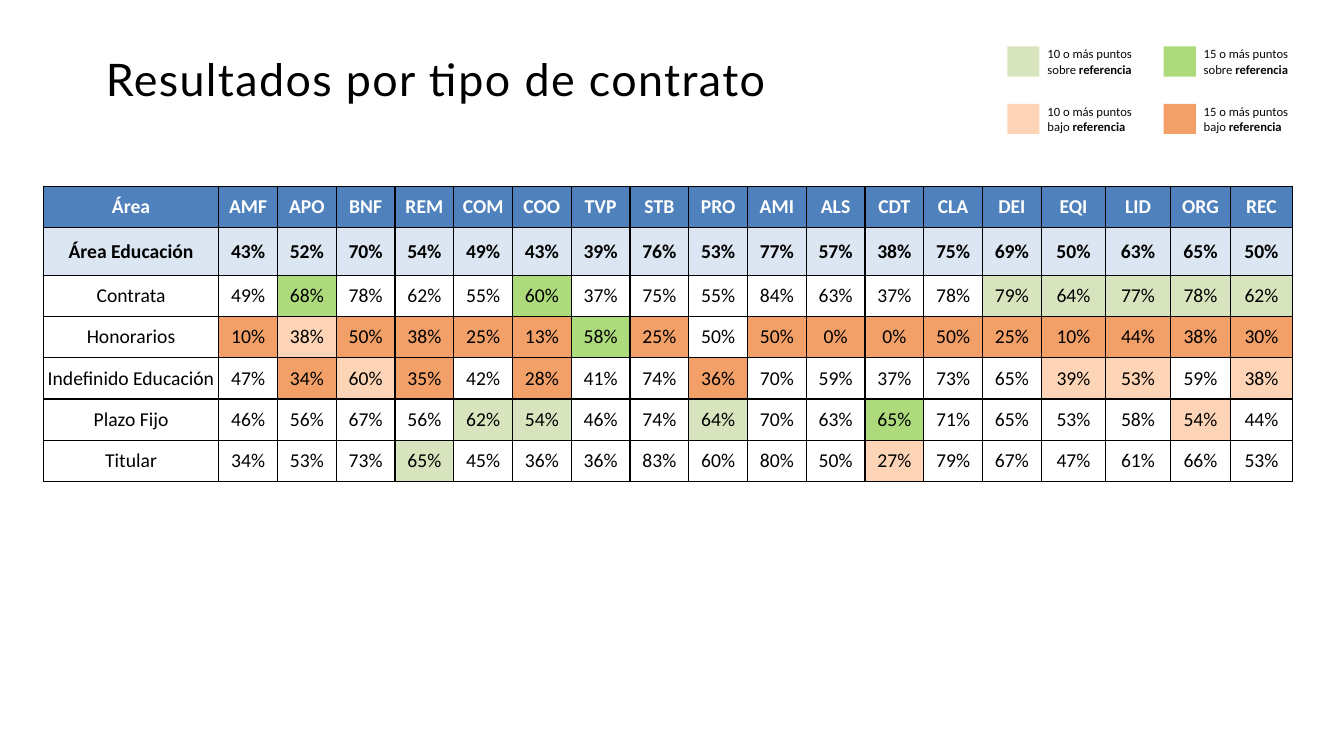
from lxml import etree
from pptx import Presentation
from pptx.dml.color import RGBColor
from pptx.enum.shapes import MSO_SHAPE
from pptx.enum.text import MSO_ANCHOR, PP_ALIGN
from pptx.oxml.ns import qn
from pptx.util import Inches, Pt

RECTANGLE = MSO_SHAPE.RECTANGLE
MIDDLE = MSO_ANCHOR.MIDDLE
CENTER = PP_ALIGN.CENTER

TITLE = "Resultados por tipo de contrato"
HEADINGS = ["Área", "AMF", "APO", "BNF", "REM", "COM", "COO", "TVP", "STB", "PRO",
            "AMI", "ALS", "CDT", "CLA", "DEI", "EQI", "LID", "ORG", "REC"]
REFERENCE = ("Área Educación", [43, 52, 70, 54, 49, 43, 39, 76, 53, 77, 57, 38, 75, 69, 50, 63, 65, 50])
CONTRACTS = [
    ("Contrata", [49, 68, 78, 62, 55, 60, 37, 75, 55, 84, 63, 37, 78, 79, 64, 77, 78, 62]),
    ("Honorarios", [10, 38, 50, 38, 25, 13, 58, 25, 50, 50, 0, 0, 50, 25, 10, 44, 38, 30]),
    ("Indefinido Educación", [47, 34, 60, 35, 42, 28, 41, 74, 36, 70, 59, 37, 73, 65, 39, 53, 59, 38]),
    ("Plazo Fijo", [46, 56, 67, 56, 62, 54, 46, 74, 64, 70, 63, 65, 71, 65, 53, 58, 54, 44]),
    ("Titular", [34, 53, 73, 65, 45, 36, 36, 83, 60, 80, 50, 27, 79, 67, 47, 61, 66, 53]),
]
BANDS = {("sobre", 10): "D7E4BD", ("sobre", 15): "ADDB7B",
         ("bajo", 10): "FDD4B5", ("bajo", 15): "F2A068"}
HEADING_FILL, REFERENCE_FILL = "4F81BD", "DCE6F2"
WHITE, BLACK, LEGEND_INK = "FFFFFF", "000000", "07080B"

TABLE_LEFT, TABLE_TOP, TABLE_WIDTH = 0.43, 1.85, 12.39
AREA_WIDTH = 1.74
LAST_WIDTHS = [0.64, 0.64, 0.6, 0.61]
ROW_HEIGHT, REFERENCE_HEIGHT = 0.41, 0.47
LEGEND_COLUMNS = {10: 9.99, 15: 11.54}
LEGEND_ROWS = {"sobre": 0.46, "bajo": 1.03}


def color(value):
    return RGBColor.from_string(value)


def style(run, font, size, ink, bold=False):
    run.font.name = font
    run.font.size = Pt(size)
    run.font.bold = bold
    run.font.color.rgb = color(ink)


def band_fill(value, reference):
    gap = value - reference
    if abs(gap) < 10:
        return None
    return BANDS["sobre" if gap > 0 else "bajo", 15 if abs(gap) >= 15 else 10]


def add_borders(cell):
    properties = cell._tc.get_or_add_tcPr()
    for position, side in enumerate(("lnL", "lnR", "lnT", "lnB")):
        line = etree.Element(qn("a:" + side), w=str(Pt(1)))
        ink = etree.SubElement(etree.SubElement(line, qn("a:solidFill")), qn("a:srgbClr"))
        ink.set("val", BLACK)
        properties.insert(position, line)


def fill_cell(cell, text, fill, ink, bold):
    cell.margin_left = cell.margin_right = cell.margin_top = cell.margin_bottom = 0
    cell.vertical_anchor = MIDDLE
    cell.text_frame.text = text
    paragraph = cell.text_frame.paragraphs[0]
    paragraph.alignment = CENTER
    style(paragraph.runs[0], "Calibri", 14, ink, bold)
    if fill:
        cell.fill.solid()
        cell.fill.fore_color.rgb = color(fill)
    else:
        cell.fill.background()
    add_borders(cell)


def add_title(slide):
    title = slide.shapes.add_textbox(Inches(1.05), Inches(0.35), Inches(9.23), Inches(0.92))
    frame = title.text_frame
    frame.word_wrap = True
    frame.vertical_anchor = MIDDLE
    frame.margin_left = frame.margin_right = frame.margin_top = frame.margin_bottom = 0
    frame.text = TITLE
    paragraph = frame.paragraphs[0]
    paragraph.line_spacing = 0.9
    style(paragraph.runs[0], "Lato", 32, BLACK)
    paragraph.runs[0].font._element.set("spc", "100")


def add_results(slide):
    regular_count = len(HEADINGS) - 1 - len(LAST_WIDTHS)
    regular_width = (TABLE_WIDTH - AREA_WIDTH - sum(LAST_WIDTHS)) / regular_count
    widths = [AREA_WIDTH] + [regular_width] * regular_count + LAST_WIDTHS
    heights = [ROW_HEIGHT, REFERENCE_HEIGHT] + [ROW_HEIGHT] * len(CONTRACTS)
    results = slide.shapes.add_table(len(heights), len(widths), Inches(TABLE_LEFT), Inches(TABLE_TOP),
                                     Inches(TABLE_WIDTH), Inches(sum(heights))).table
    results.horz_banding = False
    for column, width in zip(results.columns, widths):
        column.width = Inches(width)
    for row, height in zip(results.rows, heights):
        row.height = Inches(height)

    for column, heading in enumerate(HEADINGS):
        fill_cell(results.cell(0, column), heading, HEADING_FILL, WHITE, True)
    for row, (area, values) in enumerate([REFERENCE] + CONTRACTS, 1):
        is_reference = row == 1
        base_fill = REFERENCE_FILL if is_reference else None
        fill_cell(results.cell(row, 0), area, base_fill, BLACK, is_reference)
        for column, (value, reference) in enumerate(zip(values, REFERENCE[1]), 1):
            fill = base_fill or band_fill(value, reference)
            fill_cell(results.cell(row, column), f"{value}%", fill, BLACK, is_reference)


def add_legend(slide):
    for (direction, points), fill in BANDS.items():
        left, top = LEGEND_COLUMNS[points], LEGEND_ROWS[direction]
        swatch = slide.shapes.add_shape(RECTANGLE, Inches(left), Inches(top), Inches(0.32), Inches(0.3))
        swatch.shadow.inherit = False
        swatch.fill.solid()
        swatch.fill.fore_color.rgb = color(fill)
        swatch.line.fill.background()

        label = slide.shapes.add_textbox(Inches(left + 0.3), Inches(top - 0.05), Inches(1.12), Inches(0.4))
        label.text_frame.word_wrap = True
        paragraph = label.text_frame.paragraphs[0]
        for text, bold in ((f"{points} o más puntos {direction} ", False), ("referencia", True)):
            run = paragraph.add_run()
            run.text = text
            style(run, "Calibri", 9, LEGEND_INK, bold)


def main():
    presentation = Presentation()
    presentation.slide_width = Inches(13.33)
    presentation.slide_height = Inches(7.5)
    slide = presentation.slides.add_slide(presentation.slide_layouts[6])
    add_title(slide)
    add_results(slide)
    add_legend(slide)
    presentation.save("out.pptx")


if __name__ == "__main__":
    main()
